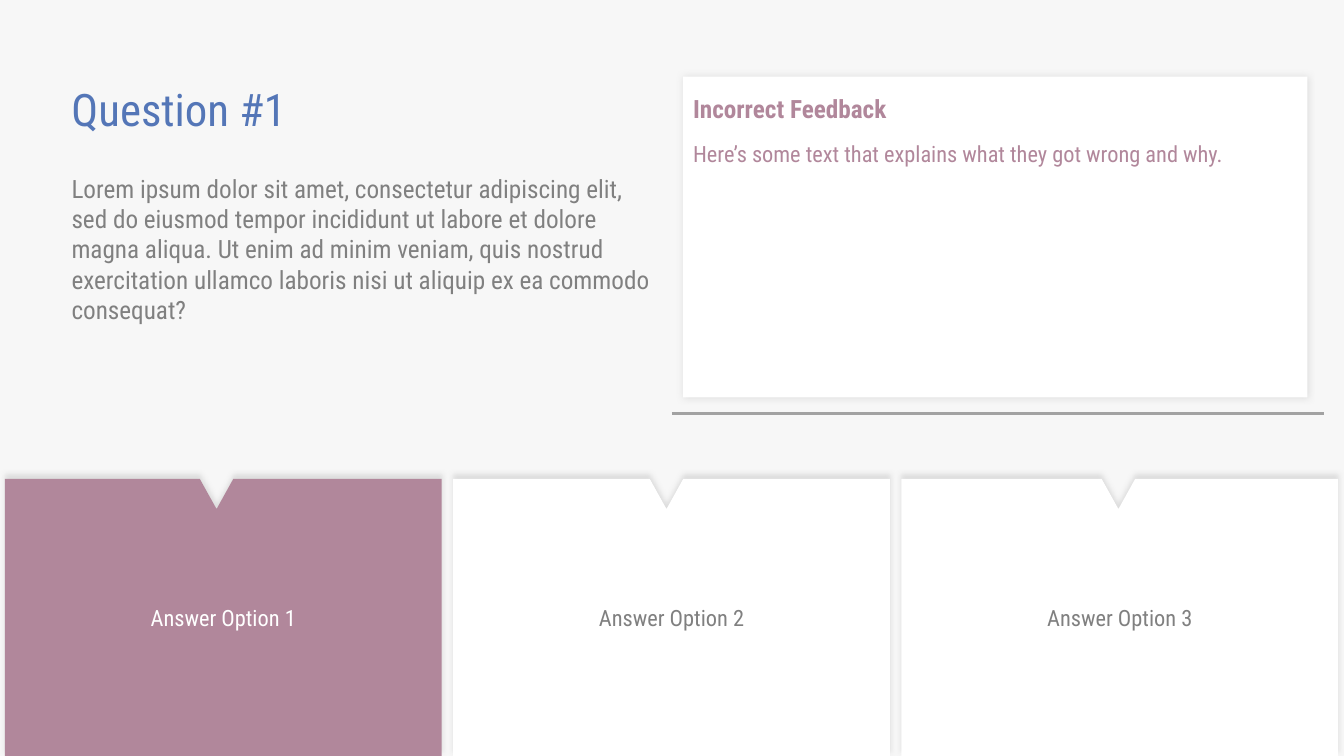
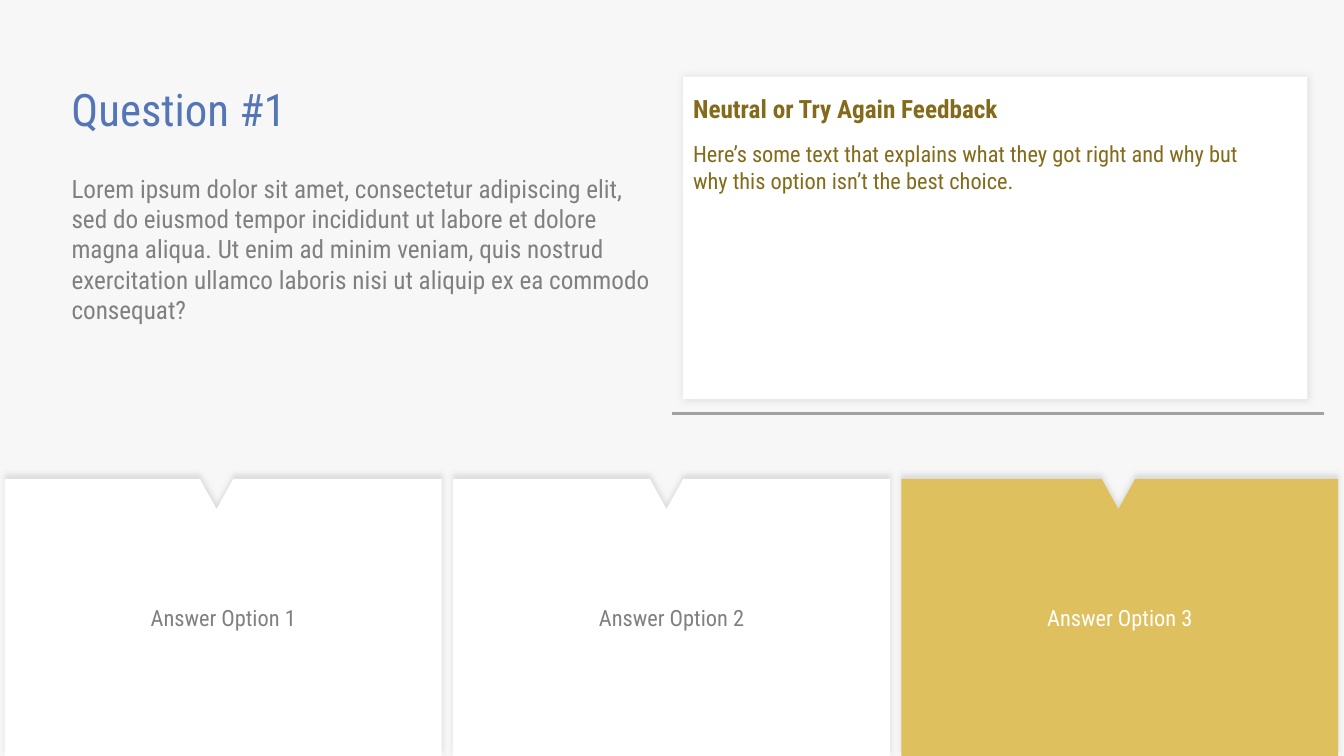
from lxml import etree
from pptx import Presentation
from pptx import util as u
from pptx.dml import color
from pptx.enum import shapes, text
from pptx.oxml import ns

COLORS = {
    "page": "F7F7F7",
    "title": "5476B7",
    "body": "808080",
    "white": "FFFFFF",
    "rule": "A2A2A2",
    "shadow": "B6B6B6",
    "wrong": "B1879B",
    "neutral": "DEC05E",
    "neutral_text": "836B1B",
}
FONT = "Roboto Condensed"
QUESTION = (
    "Lorem ipsum dolor sit amet, consectetur adipiscing elit, sed do eiusmod tempor "
    "incididunt ut labore et dolore magna aliqua. Ut enim ad minim veniam, quis nostrud "
    "exercitation ullamco laboris nisi ut aliquip ex ea commodo consequat?"
)
CARD_TOP, CARD_WIDTH, CARD_LEFT, CARD_PITCH = 342, 312, 3.5, 320.2
NOTCH_CENTERS = (151.2, 152.4, 155)
NOTCH_HALF, NOTCH_DEPTH = 12, 21.6
CARD_SHADOW = {"blur": 4, "distance": 3, "angle": 270}
PANEL_SHADOW = {"blur": 5, "distance": 0, "angle": 0}


def rgb(name):
    return color.RGBColor.from_string(COLORS[name])


class QuizDeck:
    def __init__(self):
        self.deck = Presentation()
        self.deck.slide_width, self.deck.slide_height = u.Pt(960), u.Pt(540)
        self.page = None

    def new_page(self):
        self.page = self.deck.slides.add_slide(self.deck.slide_layouts[6])
        fill = self.page.background.fill
        fill.solid()
        fill.fore_color.rgb = rgb("page")

    def add_words(self, frame, words, ink, **formats):
        span = frame.paragraphs[0].add_run()
        span.text = words
        for name, value in {"name": FONT, **formats}.items():
            setattr(span.font, name, value)
        span.font.color.rgb = rgb(ink)

    def label(self, area, words, ink, size, bold=False, parent=None):
        box = (parent or self.page).shapes.add_textbox(*map(u.Pt, area))
        box.text_frame.word_wrap = True
        box.text_frame.auto_size = text.MSO_AUTO_SIZE.SHAPE_TO_FIT_TEXT
        self.add_words(box.text_frame, words, ink, size=u.Pt(size), bold=bold)

    def paint(self, shape, fill, blur, distance, angle):
        shape.fill.solid()
        shape.fill.fore_color.rgb = rgb(fill)
        shape.line.fill.background()
        shape.shadow.inherit = False
        effects = shape.element.spPr.find(ns.qn("a:effectLst"))
        shadow = etree.SubElement(effects, ns.qn("a:outerShdw"))
        values = {"blurRad": u.Pt(blur), "dist": u.Pt(distance), "dir": angle * 60000,
                  "algn": "ctr", "rotWithShape": 0}
        for name, value in values.items():
            shadow.set(name, str(value))
        tint = etree.SubElement(shadow, ns.qn("a:srgbClr"), val=COLORS["shadow"])
        etree.SubElement(tint, ns.qn("a:alpha"), val="40000")

    def card(self, index, fill, ink):
        left = CARD_LEFT + index * CARD_PITCH
        right, notch = left + CARD_WIDTH, left + NOTCH_CENTERS[index]
        outline = [
            (notch - NOTCH_HALF, CARD_TOP), (notch, CARD_TOP + NOTCH_DEPTH),
            (notch + NOTCH_HALF, CARD_TOP), (right, CARD_TOP), (right, 540), (left, 540),
        ]
        builder = self.page.shapes.build_freeform(u.Pt(left), u.Pt(CARD_TOP))
        builder.add_line_segments([(u.Pt(x), u.Pt(y)) for x, y in outline], close=True)
        shape = builder.convert_to_shape()
        self.paint(shape, fill, **CARD_SHADOW)
        frame = shape.text_frame
        frame.word_wrap = True
        frame.vertical_anchor = text.MSO_ANCHOR.MIDDLE
        frame.paragraphs[0].alignment = text.PP_ALIGN.CENTER
        self.add_words(frame, f"Answer Option {index + 1}", ink, size=u.Pt(16))

    def rule(self, left, right, y):
        line = self.page.shapes.add_connector(
            shapes.MSO_CONNECTOR.STRAIGHT, u.Pt(left), u.Pt(y), u.Pt(right), u.Pt(y))
        line.line.color.rgb = rgb("rule")
        line.line.width = u.Pt(2.25)
        etree.SubElement(line.element.spPr, ns.qn("a:effectLst"))

    def feedback(self, heading, detail, ink, height, detail_height):
        group = self.page.shapes.add_group_shape()
        panel = group.shapes.add_shape(
            shapes.MSO_SHAPE.RECTANGLE, *map(u.Pt, (488, 54.8, 445.8, height)))
        self.paint(panel, "white", **PANEL_SHADOW)
        self.label((488, 63.4, 445.8, 29), heading, ink, 18, True, group)
        self.label((488, 96.5, 430.5, detail_height), detail, ink, 16, parent=group)

    def question(self, chosen, fill, **feedback):
        self.new_page()
        self.label((44, 54.8, 396, 46), "Question #1", "title", 32)
        self.label((44, 120.2, 435.6, 94.5), QUESTION, "body", 18)
        for index in reversed(range(3)):
            picked = index == chosen
            self.card(index, fill if picked else "white", "white" if picked else "body")
        self.rule(480, 946, 295.2)
        self.feedback(**feedback)


def main():
    quiz = QuizDeck()
    quiz.question(
        0, "wrong", heading="Incorrect Feedback",
        detail="Here’s some text that explains what they got wrong and why.",
        ink="wrong", height=229, detail_height=26.6)
    quiz.question(
        2, "neutral", heading="Neutral or Try Again Feedback",
        detail="Here’s some text that explains what they got right and why but "
               "why this option isn’t the best choice.",
        ink="neutral_text", height=230.4, detail_height=46)
    quiz.deck.save("out.pptx")


if __name__ == "__main__":
    main()
